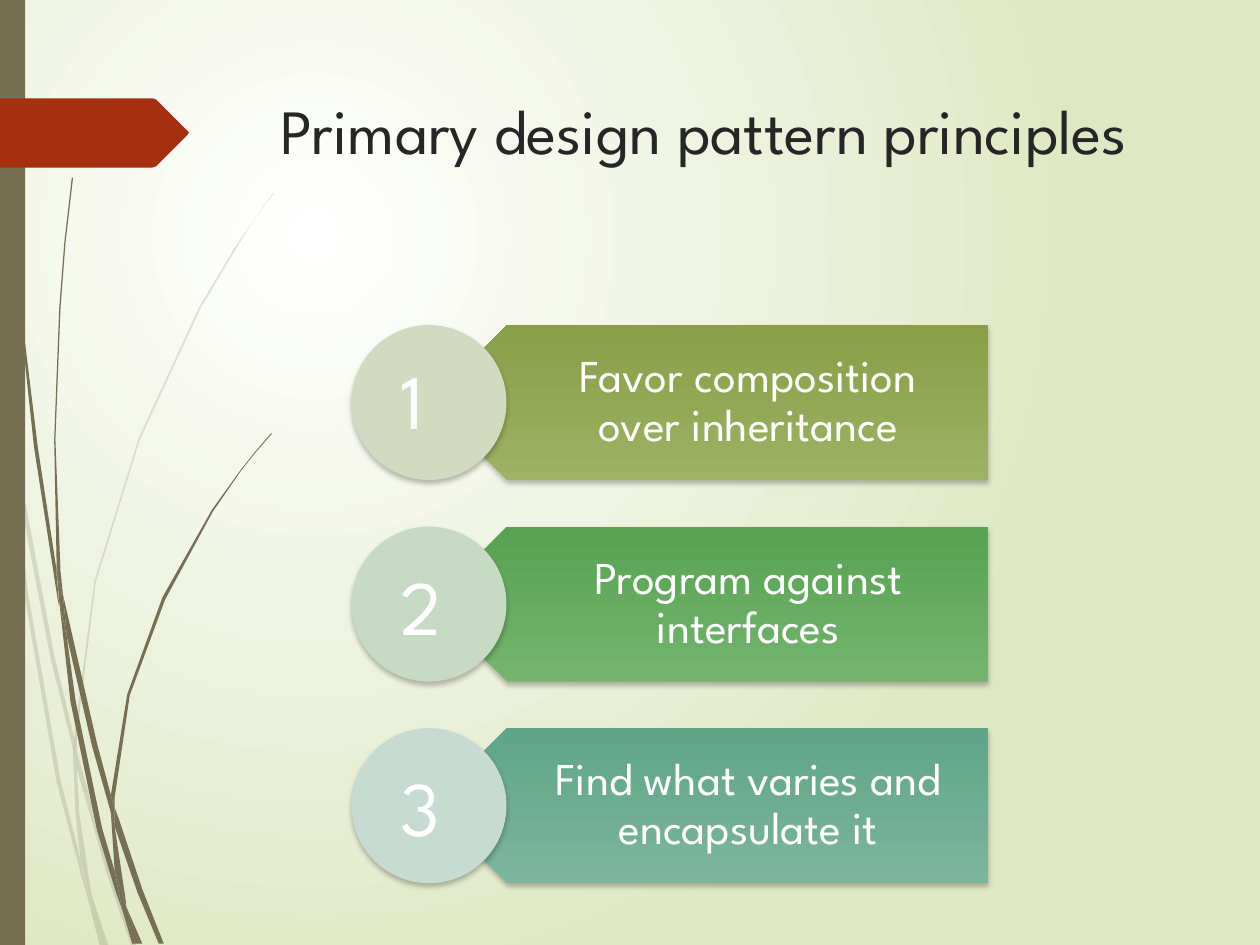
from lxml import etree
from pptx import Presentation
from pptx.dml.color import RGBColor
from pptx.enum.shapes import MSO_SHAPE
from pptx.enum.text import MSO_ANCHOR, MSO_AUTO_SIZE, PP_ALIGN
from pptx.oxml.ns import qn

RECT, PLATE, OVAL = MSO_SHAPE.RECTANGLE, MSO_SHAPE.PENTAGON, MSO_SHAPE.OVAL
TOP, MIDDLE = MSO_ANCHOR.TOP, MSO_ANCHOR.MIDDLE
LEFT, CENTER = PP_ALIGN.LEFT, PP_ALIGN.CENTER
GROW = MSO_AUTO_SIZE.SHAPE_TO_FIT_TEXT

PX = 9144  # 100 px to the inch
WIDE, HIGH = 1000, 750

THEME = {
    "font": "League Spartan",
    "title": 36, "body": 26, "digit": 44,
    "ink": "262626", "white": "FFFFFF", "edge": "DFE8C4",
    "grass": "766F54", "tag": "A53010", "shade": "000000",
}

# Content
TITLE = "Primary design pattern principles"
# text, bar top colour, bar bottom colour, disc colour, digit drop
RULES = [
    ("Favor composition over inheritance", "9DB265", "889E47", "D2DAC2", 17),
    ("Program against interfaces", "74B46F", "58A252", "C6DAC4", 20),
    ("Find what varies and encapsulate it", "7DB59D", "5FA588", "C7DBD2", 20),
]

# Grass outlines, px
PALE = [
    [(8, 350), (6, 322), (0, 282), (0, 299), (7, 344)],
    [(40, 522), (59, 599), (59, 586), (43, 520), (10, 345), (12, 376)],
    [(64, 607), (61, 596), (61, 610), (85, 694), (104, 750), (108, 750),
     (88, 692)],
    [(83, 750), (86, 750), (73, 711)],
    [(64, 683), (48, 619), (22, 469), (12, 376), (8, 350), (19, 470),
     (45, 621), (64, 693), (70, 714), (69, 707)],
    [(58, 599), (60, 646), (64, 683), (67, 692), (73, 711), (72, 706),
     (63, 646), (61, 610), (61, 608)],
    [(61, 584), (76, 462), (111, 349), (159, 245), (187, 198), (201, 175),
     (217, 154), (217, 153), (201, 175), (186, 197), (158, 244), (110, 348),
     (75, 461), (59, 584), (59, 586), (61, 596)],
    [(70, 714), (79, 750), (82, 750)],
    [(61, 608), (61, 610), (61, 596), (59, 586), (58, 599)],
    [(67, 692), (65, 683), (69, 707), (70, 714), (82, 750), (83, 750),
     (73, 711)],
]
DARK = [
    [(5, 110), (14, 233), (27, 355), (46, 477), (47, 481), (45, 457),
     (45, 453), (30, 355), (15, 232), (6, 109), (4, 48), (3, 0), (2, 0),
     (3, 48)],
    [(73, 592), (88, 645), (88, 633), (88, 631), (77, 590), (50, 472),
     (53, 505)],
    [(94, 649), (91, 641), (91, 656), (109, 708), (126, 749), (130, 749),
     (113, 706)],
    [(91, 691), (81, 657), (60, 556), (53, 505), (47, 477), (56, 557),
     (77, 659), (92, 708), (97, 722), (96, 717)],
    [(50, 472), (48, 453), (44, 349), (48, 245), (52, 193), (58, 141),
     (57, 141), (51, 193), (47, 245), (43, 349), (45, 449), (49, 472)],
    [(110, 749), (113, 749), (100, 719)],
    [(47, 477), (53, 505), (50, 472), (49, 472), (45, 449), (45, 453)],
    [(91, 633), (103, 552), (131, 476), (169, 406), (191, 374), (203, 359),
     (216, 344), (215, 344), (203, 358), (191, 373), (168, 405), (129, 474),
     (101, 551), (88, 631), (91, 641)],
    [(97, 722), (105, 749), (108, 749)],
    [(88, 645), (91, 691), (96, 706), (100, 719), (100, 716), (91, 656),
     (90, 651)],
    [(88, 645), (90, 651), (91, 656), (91, 641), (88, 631), (88, 633)],
    [(96, 706), (91, 691), (96, 717), (97, 722), (108, 749), (110, 749),
     (100, 719)],
]
TAG = [(149, 107), (124, 132), (121, 133), (0, 133), (0, 78), (121, 78),
       (124, 79), (149, 104), (150, 105)]


def rgb(code):
    return RGBColor.from_string(code)


def sub(node, tag, **attrs):
    return etree.SubElement(node, qn(tag), attrs)


def paint(shape, color, alpha=None):
    shape.shadow.inherit = False
    shape.line.fill.background()
    shape.fill.solid()
    shape.fill.fore_color.rgb = rgb(color)
    if alpha:
        node = shape.fill._xPr.find(".//" + qn("a:srgbClr"))
        sub(node, "a:alpha", val=str(alpha * 1000))


def blend(fill, first, last):
    fill.gradient()
    for stop, color, spot in zip(fill.gradient_stops, (first, last), (0, 1)):
        stop.color.rgb = rgb(color)
        stop.position = spot


def shade(shape):
    effects = shape._element.spPr.find(qn("a:effectLst"))
    outer = sub(effects, "a:outerShdw", blurRad="38100", dist="25400",
                dir="5400000", algn="ctr", rotWithShape="0")
    node = sub(outer, "a:srgbClr", val=THEME["shade"])
    sub(node, "a:alpha", val="25000")


def preset(kind, box, color):
    shape = slide.shapes.add_shape(kind, *(PX * n for n in box))
    paint(shape, color)
    return shape


def outline(points, color, alpha=None):
    pen = slide.shapes.build_freeform(*points[0], scale=PX)
    pen.add_line_segments(points[1:], close=True)
    paint(pen.convert_to_shape(), color, alpha)


def write(text, box, size, color, align=LEFT, anchor=TOP,
          pads=(10, 5, 10, 5), wrap=True):
    frame = slide.shapes.add_textbox(*(PX * n for n in box)).text_frame
    frame.word_wrap = wrap
    frame.vertical_anchor = anchor
    (frame.margin_left, frame.margin_top, frame.margin_right,
     frame.margin_bottom) = (PX * n for n in pads)
    para = frame.paragraphs[0]
    para.alignment = align
    run = para.add_run()
    run.text = text
    run.font.name = THEME["font"]
    run.font.size = size * 12700
    run.font.color.rgb = rgb(THEME[color])
    return frame


deck = Presentation()
deck.slide_width, deck.slide_height = WIDE * PX, HIGH * PX
slide = deck.slides.add_slide(deck.slide_layouts[6])

# Background: circular glow
back = slide.background.fill
blend(back, THEME["white"], THEME["edge"])
grad = slide.background._cSld.find(".//" + qn("a:gradFill"))
grad.remove(grad.find(qn("a:lin")))
glow = sub(grad, "a:path", path="circle")
sub(glow, "a:fillToRect", l="50000", t="50000", r="100000", b="100000")

# Grass, side strip and tag
for blades, alpha in ((PALE, 20), (DARK, None)):
    for blade in blades:
        outline(blade, THEME["grass"], alpha)
preset(RECT, (0, 0, 20, HIGH), THEME["grass"])
outline(TAG, THEME["tag"])

# Title
write(TITLE, (213, 68, 721, 140), THEME["title"], "ink")

# Numbered rules
START, STEP, SIDE = 258, 160, 123
for i, (text, light, deep, pale, drop) in enumerate(RULES):
    top = START + i * STEP
    bar = preset(PLATE, (341, top, 443, SIDE), light)
    bar.rotation = 180
    blend(bar.fill, light, deep)
    bar.fill.gradient_angle = 270
    shade(bar)
    write(text, (371, top, 412, SIDE), THEME["body"], "white", CENTER,
          MIDDLE, (54, 11, 20, 11)).paragraphs[0].line_spacing = 0.9
    shade(preset(OVAL, (279, top, SIDE, SIDE), pale))
    digit = write(str(i + 1), (308, top + drop, 54, 84), THEME["digit"],
                  "white", wrap=False)
    digit.auto_size = GROW

deck.save("out.pptx")
